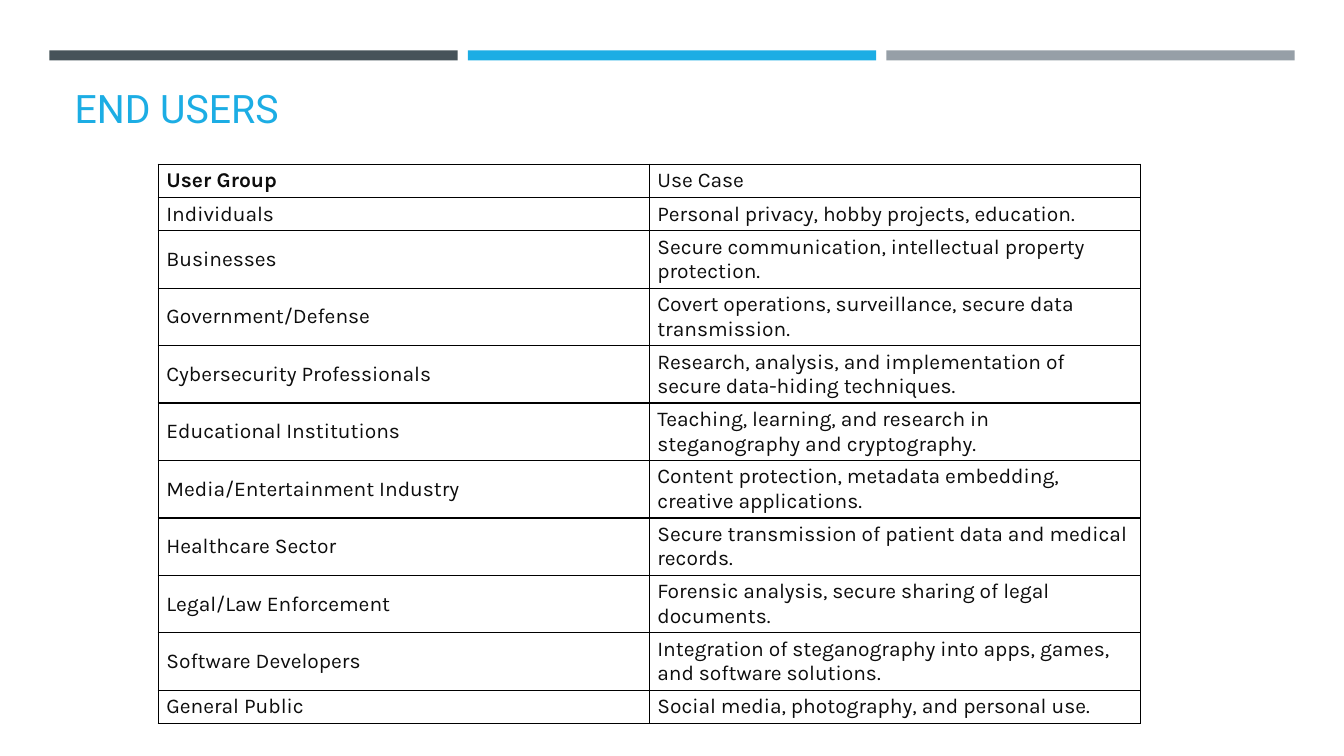
from lxml.etree import SubElement
from pptx import Presentation
from pptx.dml.color import RGBColor as RGB
from pptx.enum.shapes import MSO_SHAPE as SHAPE
from pptx.enum.text import MSO_ANCHOR as ANCHOR, MSO_AUTO_SIZE as FIT, PP_ALIGN as ALIGN
from pptx.oxml.ns import qn
from pptx.util import Inches, Pt

COLORS = {"slate": "465359", "blue": "1CADE4", "gray": "969FA7",
          "ink": "0D0D0D", "line": "000000", "paper": "FFFFFF"}
WIDTH, HEIGHT = 13.33, 7.5
BAR_LEFT, BAR_TOP, BAR_WIDTH, BAR_HEIGHT, BAR_STEP = 0.49, 0.5, 4.05, 0.1, 4.15
TABLE_LEFT, TABLE_TOP, COLUMN_WIDTH = 1.57, 1.63, 4.87
ROW_HEIGHTS = {1: 0.33, 2: 0.57}
TITLE_FONT = {"name": "Roboto", "size": Pt(28), "bold": False}
CELL_FONT = {"name": "Karla", "size": Pt(15), "bold": False}
CELL_FORMAT = {"vertical_anchor": ANCHOR.MIDDLE,
               "margin_left": Inches(0.08), "margin_right": Inches(0.08),
               "margin_top": Inches(0.04), "margin_bottom": Inches(0.04)}
TITLE_FRAME = {"vertical_anchor": ANCHOR.BOTTOM, "word_wrap": True,
               "auto_size": FIT.NONE}
USERS = [
    ("User Group", "Use Case", 1),
    ("Individuals", "Personal privacy, hobby projects, education.", 1),
    ("Businesses", "Secure communication, intellectual property protection.", 2),
    ("Government/Defense", "Covert operations, surveillance, secure data transmission.", 2),
    ("Cybersecurity Professionals",
     "Research, analysis, and implementation of secure data-hiding techniques.", 2),
    ("Educational Institutions",
     "Teaching, learning, and research in steganography and cryptography.", 2),
    ("Media/Entertainment Industry",
     "Content protection, metadata embedding, creative applications.", 2),
    ("Healthcare Sector", "Secure transmission of patient data and medical records.", 2),
    ("Legal/Law Enforcement", "Forensic analysis, secure sharing of legal documents.", 2),
    ("Software Developers",
     "Integration of steganography into apps, games, and software solutions.", 2),
    ("General Public", "Social media, photography, and personal use.", 1),
]


def apply(target, values):
    """Set each named attribute on the target."""
    for name, value in values.items():
        setattr(target, name, value)


def write(tf, text, font, color):
    """Put one formatted, left-aligned run into a text frame."""
    p = tf.paragraphs[0]
    p.alignment = ALIGN.LEFT
    r = p.add_run()
    r.text = text
    apply(r.font, font)
    r.font.color.rgb = RGB.from_string(COLORS[color])


def paint(target, color):
    """Give a shape or cell a solid fill."""
    target.fill.solid()
    target.fill.fore_color.rgb = RGB.from_string(COLORS[color])


def add_bar(s, column, color):
    """Draw the header bar of one column."""
    sp = s.shapes.add_shape(SHAPE.RECTANGLE, Inches(BAR_LEFT + column * BAR_STEP),
                            Inches(BAR_TOP), Inches(BAR_WIDTH), Inches(BAR_HEIGHT))
    sp.shadow.inherit = False
    paint(sp, color)
    sp.line.fill.background()


def set_title(s, text):
    """Place and format the title placeholder."""
    sp = s.shapes.title
    apply(sp, {"left": Inches(0.64), "top": Inches(0.77),
               "width": Inches(12.06), "height": Inches(0.58)})
    apply(sp.text_frame, TITLE_FRAME)
    write(sp.text_frame, text, TITLE_FONT, "blue")


def add_borders(cell):
    """Rule all four sides of a cell."""
    tcPr = cell._tc.get_or_add_tcPr()
    for side in ("lnL", "lnR", "lnT", "lnB"):
        ln = SubElement(tcPr, qn(f"a:{side}"), w=str(Pt(1)))
        fill = SubElement(ln, qn("a:solidFill"))
        SubElement(fill, qn("a:srgbClr"), val=COLORS["line"])


def fill_cell(cell, text, bold):
    """Write and format one table cell."""
    apply(cell, CELL_FORMAT)
    add_borders(cell)
    paint(cell, "paper")
    write(cell.text_frame, text, {**CELL_FONT, "bold": bold}, "ink")


def add_user_table(s):
    """Build the table of user groups and use cases."""
    heights = [Inches(ROW_HEIGHTS[lines]) for *_, lines in USERS]
    table = s.shapes.add_table(len(USERS), 2, Inches(TABLE_LEFT), Inches(TABLE_TOP),
                               Inches(2 * COLUMN_WIDTH), sum(heights)).table
    apply(table, {"first_row": False, "horz_banding": False})
    for column in table.columns:
        column.width = Inches(COLUMN_WIDTH)
    for i, (group, use_case, _) in enumerate(USERS):
        table.rows[i].height = heights[i]
        fill_cell(table.cell(i, 0), group, i == 0)
        fill_cell(table.cell(i, 1), use_case, False)


def main():
    """Build and save the slide."""
    prs = Presentation()
    apply(prs, {"slide_width": Inches(WIDTH), "slide_height": Inches(HEIGHT)})
    s = prs.slides.add_slide(prs.slide_layouts[5])
    for column, color in enumerate(("slate", "blue", "gray")):
        add_bar(s, column, color)
    set_title(s, "END USERS")
    add_user_table(s)
    prs.save("out.pptx")


if __name__ == "__main__":
    main()
